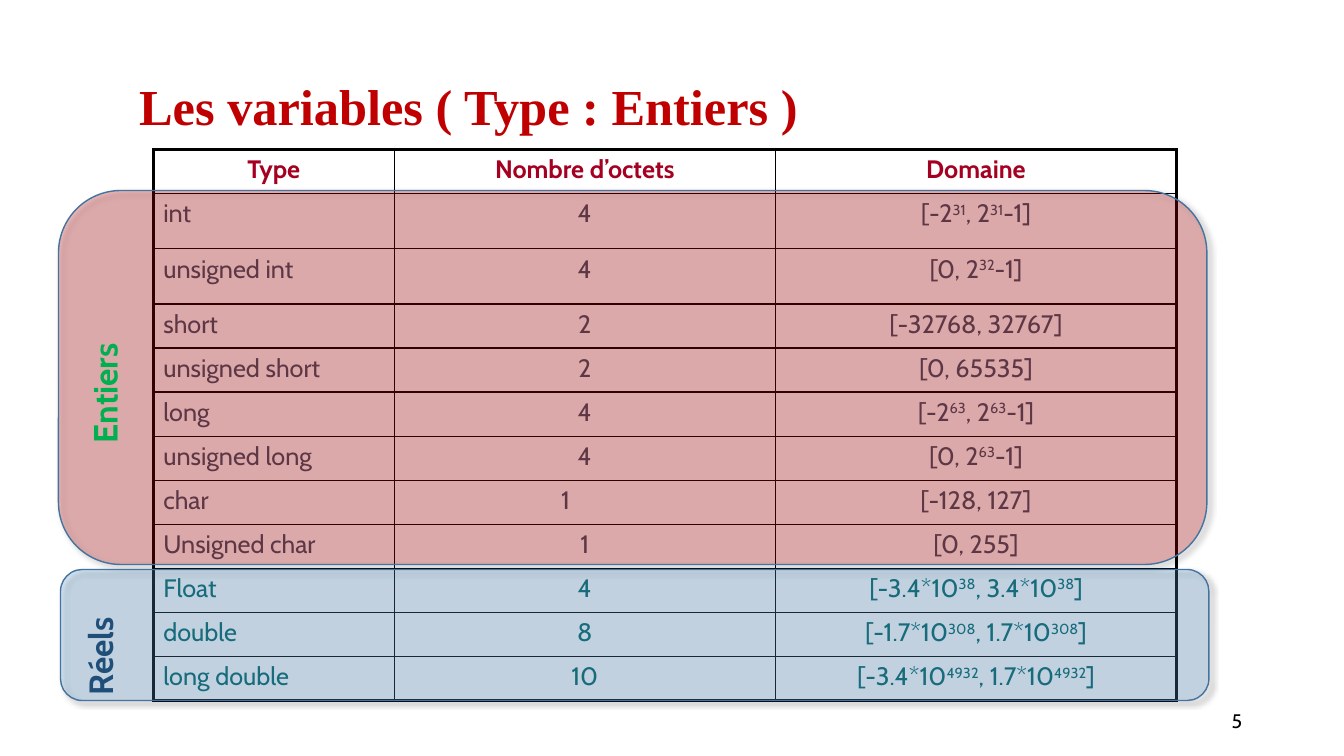
from lxml import etree
from pptx import Presentation
from pptx.dml.color import RGBColor
from pptx.enum.shapes import MSO_SHAPE
from pptx.enum.text import MSO_ANCHOR as Anchor, MSO_AUTO_SIZE as AutoSize, PP_ALIGN as Align
from pptx.oxml import parse_xml
from pptx.oxml.ns import nsdecls, qn
from pptx.util import Inches, Pt

HEADERS = ["Type", "Nombre d’octets", "Domaine"]
INTEGER_TYPES = [
    ("int", "4", "[-2|31|, 2|31|-1]"),
    ("unsigned int", "4", "[0, 2|32|-1]"),
    ("short", "2", "[-32768, 32767]"),
    ("unsigned short", "2", "[0, 65535]"),
    ("long", "4", "[-2|63|, 2|63|-1]"),
    ("unsigned long", "4", "[0, 2|63|-1]"),
    ("char", "1", "[-128, 127]"),
    ("Unsigned char", "1", "[0, 255]"),
]
REAL_TYPES = [
    ("Float", "4", "[-3.4*10|38|, 3.4*10|38|]"),
    ("double", "8", "[-1.7*10|308|, 1.7*10|308|]"),
    ("long double", "10", "[-3.4*10|4932|, 1.7*10|4932|]"),
]
COLUMN_WIDTHS = [2.39, 3.78, 3.98]
TABLE_HEIGHT = 5.47
TALL_ROW = 0.55
TALL_ROWS = (1, 2)


def hex_color(value):
    return RGBColor.from_string(value)


def write_text(frame, text, size=18, color="000000", font="Cabin", bold=False,
               align=Align.LEFT, line_spacing=None, margin=0, indent=0):
    paragraph = frame.paragraphs[0]
    paragraph.alignment = align
    if line_spacing:
        paragraph.line_spacing = line_spacing
    if margin:
        properties = paragraph._p.get_or_add_pPr()
        properties.set("marL", str(Inches(margin)))
        properties.set("indent", str(Inches(indent)))
    for position, part in enumerate(text.split("|")):
        run = paragraph.add_run()
        run.text = part
        run.font.size = Pt(size)
        run.font.name = font
        run.font.bold = bold
        run.font.color.rgb = hex_color(color)
        if position % 2:
            run._r.get_or_add_rPr().set("baseline", "30000")


class SlideBuilder:
    outer_border = 2.25
    inner_border = 1
    outline = "43739E"

    def __init__(self, presentation):
        self.slide = presentation.slides.add_slide(presentation.slide_layouts[5])

    def title(self, text, left, top, width, height):
        shape = self.slide.shapes.title
        shape.left, shape.top = Inches(left), Inches(top)
        shape.width, shape.height = Inches(width), Inches(height)
        frame = shape.text_frame
        frame.auto_size = AutoSize.NONE
        frame.vertical_anchor = Anchor.MIDDLE
        write_text(frame, text, size=36, color="C00000", font="Times New Roman",
                   bold=True, line_spacing=0.9)

    def text(self, text, left, top, width, height, rotation=0, wrap=True,
             anchor=Anchor.TOP, **text_format):
        box = self.slide.shapes.add_textbox(
            Inches(left), Inches(top), Inches(width), Inches(height))
        box.rotation = rotation
        box.text_frame.word_wrap = wrap
        box.text_frame.vertical_anchor = anchor
        write_text(box.text_frame, text, **text_format)

    def band(self, color, left, top, width, height):
        shape = self.slide.shapes.add_shape(
            MSO_SHAPE.ROUNDED_RECTANGLE,
            Inches(left), Inches(top), Inches(width), Inches(height))
        shape.fill.solid()
        shape.fill.fore_color.rgb = hex_color(color)
        fill_color = shape._element.spPr.find(qn("a:solidFill"))[0]
        etree.SubElement(fill_color, qn("a:alpha")).set("val", "26000")
        shape.line.color.rgb = hex_color(self.outline)
        shape.line.width = Pt(1)
        shape.shadow.inherit = False
        effects = shape._element.spPr.find(qn("a:effectLst"))
        effects.append(parse_xml(
            f'<a:outerShdw {nsdecls("a")} blurRad="{Pt(4)}" dist="{Pt(3)}" '
            'dir="2700000" algn="tl" rotWithShape="0"><a:srgbClr val="000000">'
            '<a:alpha val="40000"/></a:srgbClr></a:outerShdw>'))

    def borders(self, cell, outer_sides):
        properties = cell._tc.get_or_add_tcPr()
        for position, side in enumerate("LRTB"):
            width = self.outer_border if side in outer_sides else self.inner_border
            properties.insert(position, parse_xml(
                f'<a:ln{side} {nsdecls("a")} w="{Pt(width)}"><a:solidFill>'
                f'<a:srgbClr val="000000"/></a:solidFill></a:ln{side}>'))

    def table(self, rows, colors, left, top):
        last_row, last_column = len(rows) - 1, len(COLUMN_WIDTHS) - 1
        table = self.slide.shapes.add_table(
            len(rows), len(COLUMN_WIDTHS), Inches(left), Inches(top),
            Inches(sum(COLUMN_WIDTHS)), Inches(TABLE_HEIGHT)).table
        table.first_row = table.horz_banding = False
        for column, width in zip(table.columns, COLUMN_WIDTHS):
            column.width = Inches(width)
        normal_row = (TABLE_HEIGHT - TALL_ROW * len(TALL_ROWS)) / (len(rows) - len(TALL_ROWS))
        for r, values in enumerate(rows):
            table.rows[r].height = Inches(TALL_ROW if r in TALL_ROWS else normal_row)
            for c, value in enumerate(values):
                cell = table.cell(r, c)
                cell.fill.background()
                sides = (("L", c == 0), ("R", c == last_column),
                         ("T", r == 0), ("B", r == last_row))
                self.borders(cell, [side for side, is_outer in sides if is_outer])
                centered = r == 0 or c > 0
                write_text(cell.text_frame, value, color=colors[r], bold=r == 0,
                           align=Align.CENTER if centered else Align.LEFT)
        return table


def main():
    presentation = Presentation()
    presentation.slide_width = Inches(13.33)
    presentation.slide_height = Inches(7.5)
    builder = SlideBuilder(presentation)

    builder.text("5", 9.42, 6.95, 3, 0.4, anchor=Anchor.MIDDLE, size=14, align=Align.RIGHT)
    builder.title("Les variables ( Type : Entiers )", 1.28, 0.71, 8.83, 0.75)

    rows = [HEADERS] + INTEGER_TYPES + REAL_TYPES
    colors = ["A50021"] + ["44546A"] * len(INTEGER_TYPES) + ["006666"] * len(REAL_TYPES)
    table = builder.table(rows, colors, 1.52, 1.48)
    char_row = [values[0] for values in rows].index("char")
    table.cell(char_row, 1).margin_right = Inches(0.48)

    builder.band("C00000", 0.58, 1.89, 11.39, 3.71)
    builder.band("5B9BD5", 0.6, 5.65, 11.39, 1.3)
    builder.text("Entiers", 0.34, 3.55, 1.39, 0.5, rotation=270, wrap=False,
                 size=24, color="00B050", bold=True)
    builder.text("Réels", -0.41, 5.72, 2.97, 0.58, rotation=270, size=24,
                 color="1F4E79", bold=True, line_spacing=0.9, margin=0.75, indent=-0.25)

    presentation.save("out.pptx")


if __name__ == "__main__":
    main()
